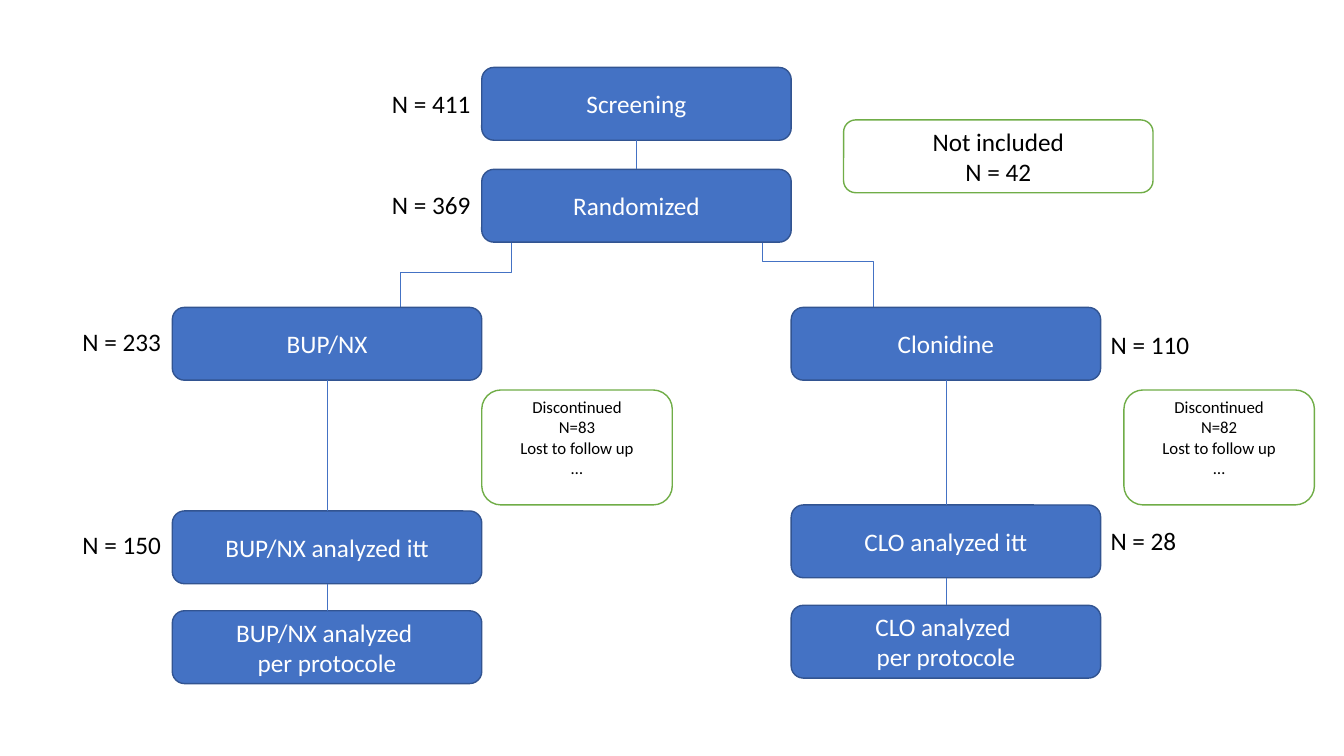
import pptx
import pptx.util
import pptx.dml.color
import pptx.enum.shapes
import pptx.enum.text
import pptx.oxml
import pptx.oxml.ns

Pt = pptx.util.Pt
SHAPE = pptx.enum.shapes.MSO_SHAPE
CONNECTOR = pptx.enum.shapes.MSO_CONNECTOR
ANCHOR = pptx.enum.text.MSO_ANCHOR
ALIGN = pptx.enum.text.PP_ALIGN

COLORS = {"step": "4472C4", "step_line": "325491", "exit_line": "70AD47",
          "white": "FFFFFF", "black": "000000"}
BOX_W, BOX_H = 221.04, 52
LABEL_H = 28.8
# The three columns stand side by side
LEFT_X, MIDDLE_X, RIGHT_X = [123.1 + BOX_W * i for i in range(3)]


def rgb(name):
    return pptx.dml.color.RGBColor.from_string(COLORS[name])


def write(tf, lines, size, color, align):
    for i, line in enumerate(lines):
        p = tf.paragraphs[0] if i == 0 else tf.add_paragraph()
        p.alignment = align
        r = p.add_run()
        r.text = line
        for key, value in {"name": "Calibri", "size": Pt(size)}.items():
            setattr(r.font, key, value)
        r.font.color.rgb = rgb(color)


def add_box(slide, x, y, w, h, lines, fill, line, color, size=18, frame=None):
    sp = slide.shapes.add_shape(SHAPE.ROUNDED_RECTANGLE, Pt(x), Pt(y), Pt(w), Pt(h))
    sp.shadow.inherit = False
    sp.fill.solid()
    sp.fill.fore_color.rgb = rgb(fill)
    sp.line.color.rgb = rgb(line)
    sp.line.width = Pt(1)
    tf = sp.text_frame
    settings = {"word_wrap": True, "vertical_anchor": ANCHOR.MIDDLE}
    settings.update(frame or {})
    for key, value in settings.items():
        setattr(tf, key, value)
    write(tf, lines, size, color, ALIGN.CENTER)
    return sp


def add_label(slide, x, y, w, text):
    sp = slide.shapes.add_textbox(Pt(x), Pt(y), Pt(w), Pt(LABEL_H))
    tf = sp.text_frame
    tf.word_wrap = False
    tf.auto_size = pptx.enum.text.MSO_AUTO_SIZE.SHAPE_TO_FIT_TEXT
    write(tf, [text], 18, "black", ALIGN.LEFT)


def add_line(slide, kind, x0, y0, x1, y1):
    cxn = slide.shapes.add_connector(kind, Pt(x0), Pt(y0), Pt(x1), Pt(y1))
    cxn.line.color.rgb = rgb("step")
    cxn.line.width = Pt(0.5)
    cxn._element.spPr.append(pptx.oxml.parse_xml(
        "<a:effectLst %s/>" % pptx.oxml.ns.nsdecls("a")))
    return cxn


def add_branch(slide, x0, y0, x1, y1):
    """Elbow that leaves downwards, crosses halfway and ends downwards."""
    w, h = y1 - y0, abs(x1 - x0)
    x, y = (x0 + x1 - w) / 2, (y0 + y1 - h) / 2
    cxn = add_line(slide, CONNECTOR.ELBOW, x, y, x + w, y + h)
    xfrm = cxn._element.spPr.find(pptx.oxml.ns.qn("a:xfrm"))
    xfrm.set("rot", str((270 if x1 > x0 else 90) * 60000))
    if x1 > x0:
        xfrm.set("flipH", "1")


def add_column(slide, x, steps, label_x):
    """Steps from top to bottom, each joined to the one before it."""
    above, above_y = None, 0
    for y, lines, count, label_y, label_w in steps:
        sp = add_box(slide, x, y, BOX_W, BOX_H, lines, "step", "step_line", "white")
        if above is not None:
            mid = x + BOX_W / 2
            cxn = add_line(slide, CONNECTOR.STRAIGHT, mid, above_y + BOX_H, mid, y)
            cxn.begin_connect(above, 2)
            cxn.end_connect(sp, 0)
        if count:
            add_label(slide, label_x, label_y, label_w, count)
        above, above_y = sp, y


def add_discontinued(slide, x, count):
    lines = ["Discontinued", count, "Lost to follow up", "…"]
    add_box(slide, x, 278.6, 136.1, 82.1, lines, "white", "exit_line", "black", 12,
            {"vertical_anchor": ANCHOR.TOP, "margin_top": Pt(1)})


def build_flow(slide):
    # Branches lie behind the boxes
    add_branch(slide, 365, 154.1, 285.8, 234.7)
    add_branch(slide, 544.3, 146.2, 623.5, 226.8)

    # Enrolment and the two treatment arms
    add_column(slide, MIDDLE_X, [
        (48.2, ["Screening"], "N = 411", 59.8, 71.3),
        (121, ["Randomized"], "N = 369", 131.8, 71.3),
    ], MIDDLE_X - 71.3)
    add_column(slide, LEFT_X, [
        (219.6, ["BUP/NX"], "N = 233", 229.7, 71.3),
        (365, ["BUP/NX analyzed itt"], "N = 150", 374.4, 71.3),
        (436.3, ["BUP/NX analyzed ", "per protocole"], None, 0, 0),
    ], LEFT_X - 71.3)
    add_column(slide, RIGHT_X, [
        (219.6, ["Clonidine"], "N = 110", 231.8, 71.3),
        (360.7, ["CLO analyzed itt"], "N = 28", 371.5, 61.9),
        (432.4, ["CLO analyzed ", "per protocole"], None, 0, 0),
    ], RIGHT_X + BOX_W)

    # Patients leaving the study
    add_box(slide, 602.6, 85.7, BOX_W, BOX_H, ["Not included", "N = 42"],
            "white", "exit_line", "black")
    add_discontinued(slide, MIDDLE_X, "N=83")
    add_discontinued(slide, 802.8, "N=82")


def main():
    prs = pptx.Presentation()
    prs.slide_width, prs.slide_height = Pt(960), Pt(540)
    slide = prs.slides.add_slide(prs.slide_layouts[6])
    build_flow(slide)
    prs.save("out.pptx")


if __name__ == "__main__":
    main()
